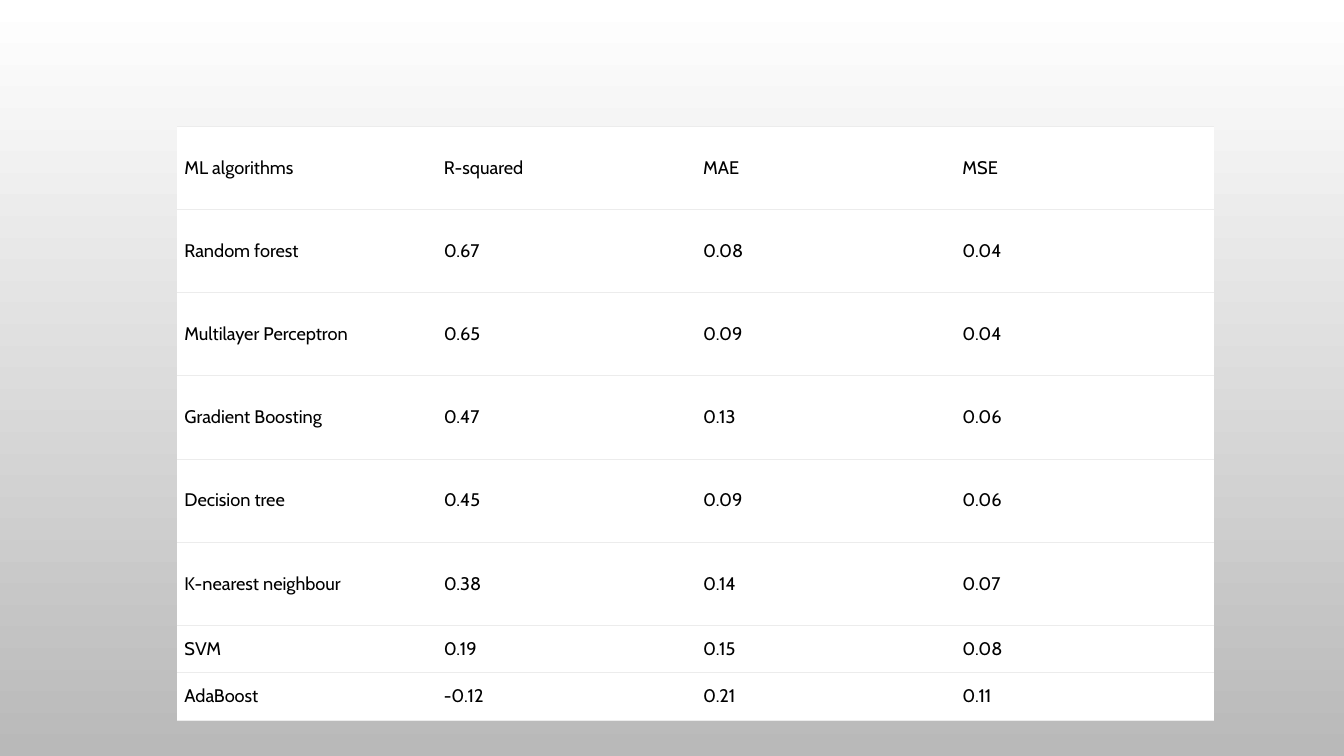
"""Build a slide with a table comparing the errors of machine learning algorithms."""
from dataclasses import dataclass

from lxml.etree import SubElement
from pptx import Presentation
from pptx.dml.color import RGBColor as RGB
from pptx.enum.text import MSO_ANCHOR as Anchor
from pptx.oxml.ns import qn
from pptx.util import Pt


@dataclass(frozen=True)
class Theme:
    font: str = "Cabin"
    size: float = 13
    text: str = "000000"
    cell: str = "FFFFFF"
    rule: str = "ECECEC"
    sky: str = "FFFFFF"
    ground: str = "B9B9B9"


theme = Theme()


def write(cell, text, *, size, font, color):
    p = cell.text_frame.paragraphs[0]
    r = p.add_run()
    r.text = text
    r.font.size = Pt(size)
    r.font.name = font
    r.font.color.rgb = RGB.from_string(color)


def add_border(cell, side, *, color, width):
    ln = SubElement(cell._tc.get_or_add_tcPr(), qn(f"a:ln{side}"), w=str(Pt(width)))
    fill = SubElement(ln, qn("a:solidFill"))
    SubElement(fill, qn("a:srgbClr"), val=color)


ROWS = [
    ("ML algorithms", "R-squared", "MAE", "MSE"),
    ("Random forest", "0.67", "0.08", "0.04"),
    ("Multilayer Perceptron", "0.65", "0.09", "0.04"),
    ("Gradient Boosting", "0.47", "0.13", "0.06"),
    ("Decision tree", "0.45", "0.09", "0.06"),
    ("K-nearest neighbour", "0.38", "0.14", "0.07"),
    ("SVM", "0.19", "0.15", "0.08"),
    ("AdaBoost", "-0.12", "0.21", "0.11"),
]
COL_WIDTH = 185.25
HEIGHTS = [59.45] * 6 + [33.9] * 2
NO_STYLE = "{2D5ABB26-0587-4C30-8999-92F81FD0307C}"

prs = Presentation()
prs.slide_width, prs.slide_height = Pt(960), Pt(540)
s = prs.slides.add_slide(prs.slide_layouts[6])

bg = s.background.fill
bg.gradient()
bg.gradient_angle = 270
for stop, color in zip(bg.gradient_stops, (theme.sky, theme.ground)):
    stop.color.rgb = RGB.from_string(color)

n_cols = len(ROWS[0])
frame = s.shapes.add_table(len(ROWS), n_cols, Pt(126.5), Pt(90),
                           Pt(COL_WIDTH * n_cols), Pt(sum(HEIGHTS)))
table = frame.table
table.first_row = table.horz_banding = False
table._tbl.tblPr.find(qn("a:tableStyleId")).text = NO_STYLE
for col in table.columns:
    col.width = Pt(COL_WIDTH)

for i, (values, height) in enumerate(zip(ROWS, HEIGHTS)):
    table.rows[i].height = Pt(height)
    for j, value in enumerate(values):
        cell = table.cell(i, j)
        cell.vertical_anchor = Anchor.MIDDLE
        cell.margin_left = cell.margin_right = Pt(5.25)
        cell.margin_top = cell.margin_bottom = Pt(2.6)
        for side in "TB":
            add_border(cell, side, color=theme.rule, width=0.5)
        cell.fill.solid()
        cell.fill.fore_color.rgb = RGB.from_string(theme.cell)
        write(cell, value, size=theme.size, font=theme.font, color=theme.text)

prs.save("out.pptx")
